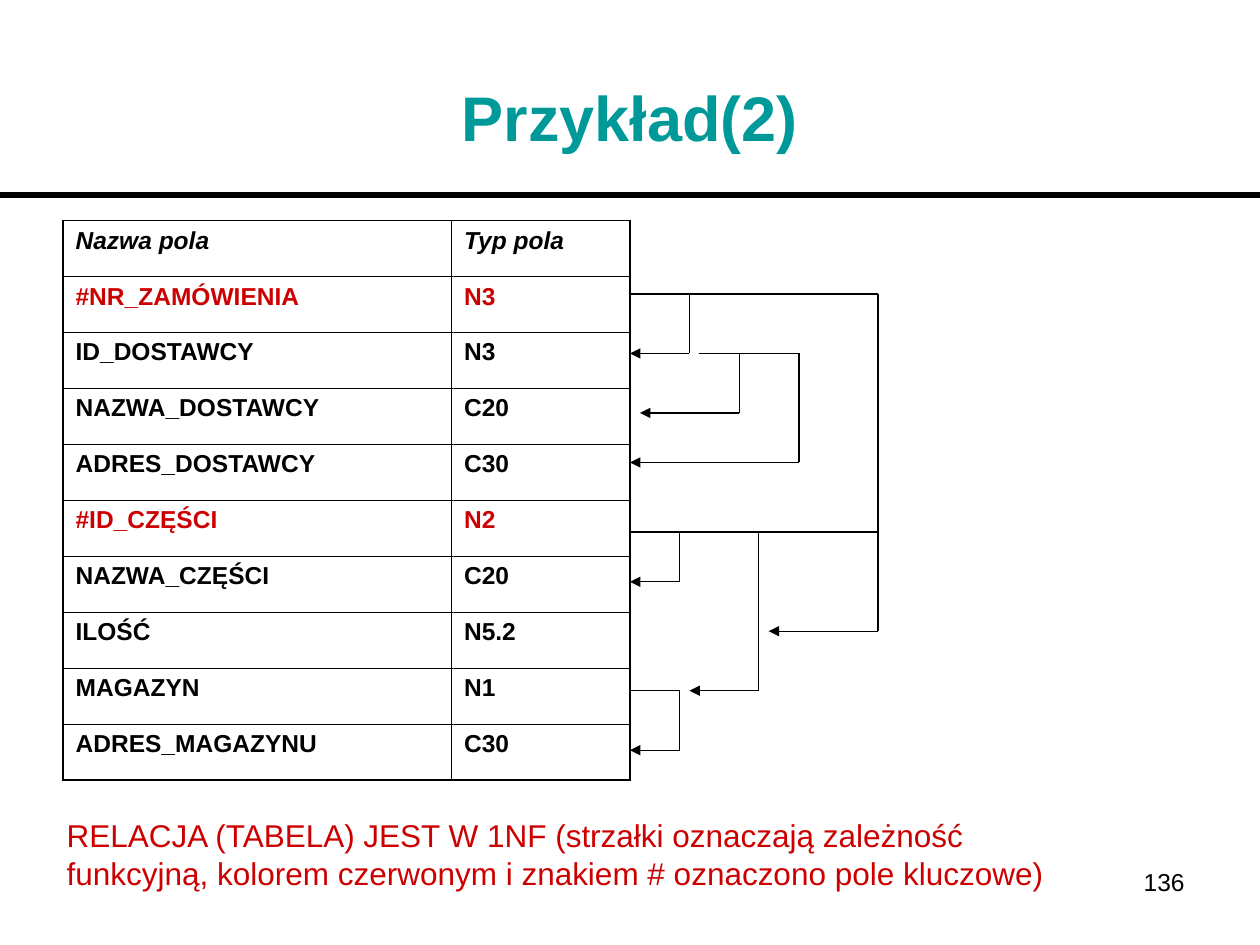
import pptx
import pptx.dml.color
import pptx.enum.shapes
import pptx.enum.text
import pptx.oxml
import pptx.oxml.ns
import pptx.util

Pt = pptx.util.Pt
ALIGN = pptx.enum.text.PP_ALIGN
ANCHOR = pptx.enum.text.MSO_ANCHOR
NS = pptx.oxml.ns.nsdecls("a")

FONT, BLACK, RED, TEAL = "Arial", "000000", "CC0000", "009999"
HEADING = "Przykład(2)"
HEADER = ("Nazwa pola", "Typ pola")
FIELDS = [
    ("#NR_ZAMÓWIENIA", "N3"),
    ("ID_DOSTAWCY", "N3"),
    ("NAZWA_DOSTAWCY", "C20"),
    ("ADRES_DOSTAWCY", "C30"),
    ("#ID_CZĘŚCI", "N2"),
    ("NAZWA_CZĘŚCI", "C20"),
    ("ILOŚĆ", "N5.2"),
    ("MAGAZYN", "N1"),
    ("ADRES_MAGAZYNU", "C30"),
]
NOTE = ("RELACJA (TABELA) JEST W 1NF (strzałki oznaczają zależność funkcyjną, "
        "kolorem czerwonym i znakiem # oznaczono pole kluczowe)")
PAGE = "136"

TABLE_LEFT, TABLE_TOP, ROW_HEIGHT = 36, 126, 32
COLUMN_WIDTHS = (222, 102)
EDGE = TABLE_LEFT + sum(COLUMN_WIDTHS)
THIN, THICK = 0.45, 1.08

KEY_STEMS = [
    [(EDGE, 168), (501.7, 168)],
    [(399.6, 202), (456.5, 202)],
    [(EDGE, 304), (501.7, 304)],
    [(EDGE, 394.7), (388.4, 394.7)],
]
DEPENDENCIES = [
    [(394, 168), (394, 202), (EDGE, 202)],
    [(422.5, 202), (422.5, 236), (365.7, 236)],
    [(456.5, 202), (456.5, 264.3), (EDGE, 264.3)],
    [(388.4, 304), (388.4, 332.5), (EDGE, 332.5)],
    [(433.6, 304), (433.6, 394.7), (394, 394.7)],
    [(388.4, 394.7), (388.4, 428.7), (EDGE, 428.7)],
    [(501.7, 168), (501.7, 360.7), (439.3, 360.7)],
]


def rgb(color):
    return pptx.dml.color.RGBColor.from_string(color)


def write(frame, text, size=14, color=BLACK, bold=False, italic=False,
          align=ALIGN.LEFT, anchor=ANCHOR.TOP):
    frame.word_wrap = True
    frame.vertical_anchor = anchor
    paragraph = frame.paragraphs[0]
    paragraph.alignment = align
    run = paragraph.add_run()
    run.text = text
    font = run.font
    font.name, font.size, font.bold, font.italic = FONT, Pt(size), bold, italic
    font.color.rgb = rgb(color)


def add_text(slide, left, top, width, height, text, **style):
    box = slide.shapes.add_textbox(Pt(left), Pt(top), Pt(width), Pt(height))
    write(box.text_frame, text, **style)


def add_line(slide, start, end, width=0.75, arrow=False):
    line = slide.shapes.add_connector(
        pptx.enum.shapes.MSO_CONNECTOR.STRAIGHT, *(Pt(v) for v in start + end))
    line.line.color.rgb = rgb(BLACK)
    line.line.width = Pt(width)
    if arrow:
        line.line._get_or_add_ln().append(
            pptx.oxml.parse_xml(f'<a:tailEnd {NS} type="triangle"/>'))
    line._element.spPr.append(pptx.oxml.parse_xml(f"<a:effectLst {NS}/>"))


def add_path(slide, points, arrow=False):
    for start, end in zip(points, points[1:]):
        add_line(slide, start, end, arrow=arrow and end == points[-1])


def set_borders(cell, **widths):
    properties = cell._tc.get_or_add_tcPr()
    for index, (side, width) in enumerate(widths.items()):
        properties.insert(index, pptx.oxml.parse_xml(
            f'<a:ln{side} {NS} w="{int(Pt(width))}"><a:solidFill>'
            f'<a:srgbClr val="{BLACK}"/></a:solidFill></a:ln{side}>'))


def add_fields(slide):
    rows = [HEADER] + FIELDS
    last_row, last_column = len(rows) - 1, len(HEADER) - 1
    table = slide.shapes.add_table(
        len(rows), len(HEADER), Pt(TABLE_LEFT), Pt(TABLE_TOP),
        Pt(sum(COLUMN_WIDTHS)), Pt(ROW_HEIGHT * len(rows))).table
    table.first_row = table.horz_banding = False
    for column, width in zip(table.columns, COLUMN_WIDTHS):
        column.width = Pt(width)
    for r, values in enumerate(rows):
        table.rows[r].height = Pt(ROW_HEIGHT)
        color = RED if values[0].startswith("#") else BLACK
        for c, value in enumerate(values):
            cell = table.cell(r, c)
            cell.fill.background()
            write(cell.text_frame, value, color=color, bold=True, italic=r == 0)
            set_borders(cell,
                        L=THICK if c == 0 else THIN,
                        R=THICK if c == last_column else THIN,
                        T=THICK if r == 0 else THIN,
                        B=THICK if r == last_row else THIN)


def main():
    deck = pptx.Presentation()
    deck.slide_width, deck.slide_height = Pt(720), Pt(540)
    slide = deck.slides.add_slide(deck.slide_layouts[5])

    title = slide.shapes.title
    title.left, title.top, title.width, title.height = Pt(36), Pt(21.6), Pt(648), Pt(90)
    write(title.text_frame, HEADING, size=36, color=TEAL, bold=True,
          align=ALIGN.CENTER, anchor=ANCHOR.MIDDLE)
    add_line(slide, (0, 111.4), (720, 111.4), width=3)

    add_fields(slide)
    for stem in KEY_STEMS:
        add_path(slide, stem)
    for dependency in DEPENDENCIES:
        add_path(slide, dependency, arrow=True)

    add_text(slide, 31, 463, 578, 50.4, NOTE, size=18, color=RED)
    add_text(slide, 516, 492, 168, 37.5, PAGE, align=ALIGN.RIGHT)
    deck.save("out.pptx")


if __name__ == "__main__":
    main()
